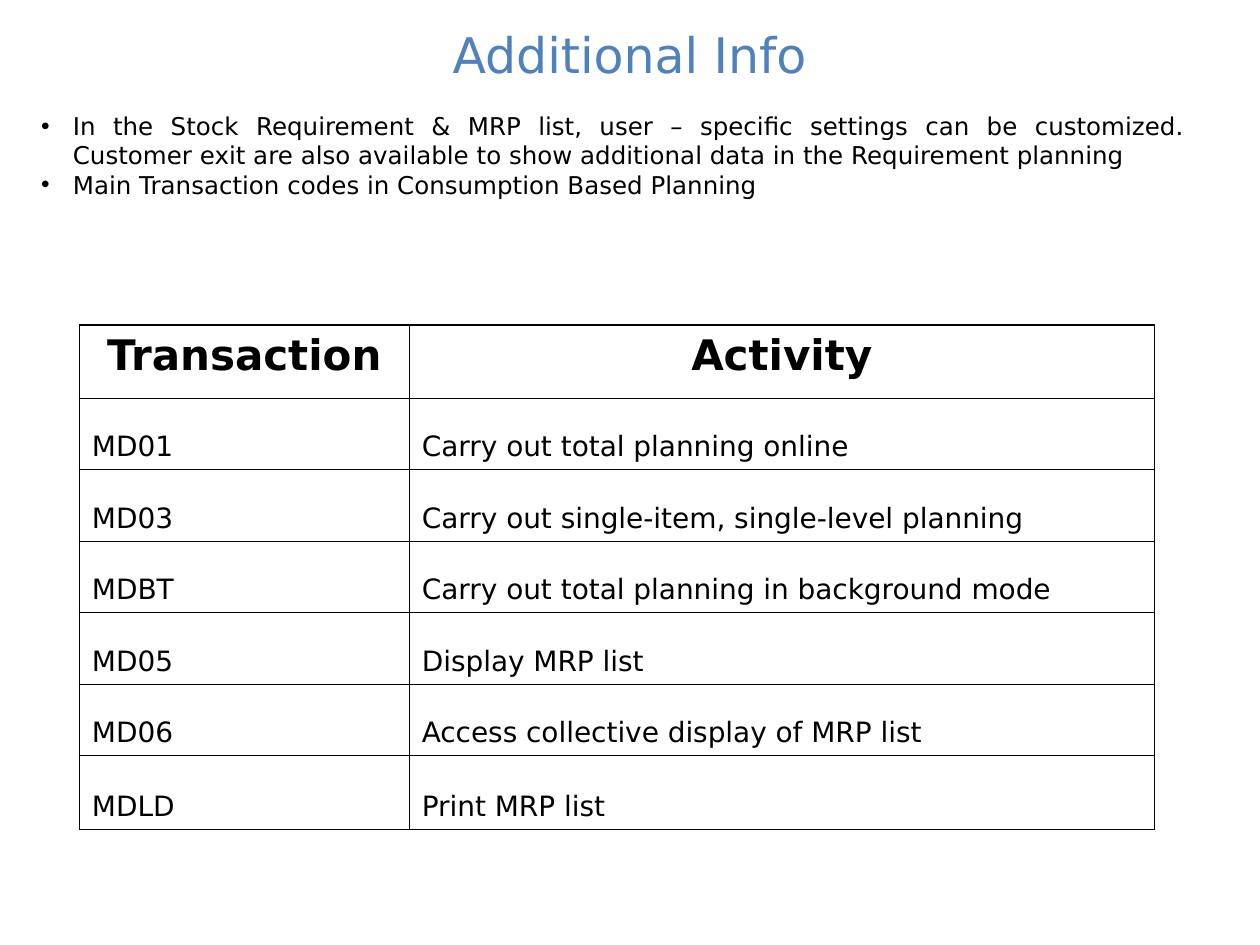
"""Build the Additional Info slide with its table of planning transactions."""
from lxml.etree import SubElement
from pptx import Presentation
from pptx.dml.color import RGBColor
from pptx.enum.text import MSO_ANCHOR, PP_ALIGN
from pptx.oxml import parse_xml
from pptx.oxml.ns import nsdecls, qn
from pptx.util import Cm, Pt

COLORS = {"title": "4F81BD", "text": "000000", "border": "000000"}
FONT = "DejaVu Sans"
BULLETS = [
    "In the Stock Requirement & MRP list, user – specific settings can be customized. "
    "Customer exit are also available to show additional data in the Requirement planning",
    "Main Transaction codes in Consumption Based Planning",
]
ROWS = [
    ("Transaction", "Activity"),
    ("MD01", "Carry out total planning online"),
    ("MD03", "Carry out single-item, single-level planning"),
    ("MDBT", "Carry out total planning in background mode"),
    ("MD05", "Display MRP list"),
    ("MD06", "Access collective display of MRP list"),
    ("MDLD", "Print MRP list"),
]
COLUMN_WIDTHS = [Cm(6.65), Cm(15.02)]
ROW_HEIGHTS = [Cm(1.48)] + [Cm(1.44)] * 5 + [Cm(1.49)]


def format_paragraph(para, size, color, align, bold=False):
    para.alignment = align
    for span in para.runs:
        span.font.name = FONT
        span.font.size = Pt(size)
        span.font.bold = bold
        span.font.color.rgb = RGBColor.from_string(COLORS[color])


def set_borders(cell, outer_sides):
    properties = cell._tc.get_or_add_tcPr()
    for position, side in enumerate("LRTB"):
        width = Pt(1.08 if side in outer_sides else 0.45)
        properties.insert(position, parse_xml(
            f'<a:ln{side} {nsdecls("a")} w="{width}"><a:solidFill>'
            f'<a:srgbClr val="{COLORS["border"]}"/></a:solidFill></a:ln{side}>'))


deck = Presentation()
deck.slide_width, deck.slide_height = Cm(25.4), Cm(19.05)
page = deck.slides.add_slide(deck.slide_layouts[6])

title = page.shapes.add_textbox(Cm(0.56), Cm(0.43), Cm(24.26), Cm(1.32))
frame = title.text_frame
frame.word_wrap = True
frame.vertical_anchor = MSO_ANCHOR.MIDDLE
frame.margin_left = frame.margin_right = frame.margin_top = frame.margin_bottom = 0
frame.text = "Additional Info"
format_paragraph(frame.paragraphs[0], 28, "title", PP_ALIGN.CENTER)

box = page.shapes.add_textbox(Cm(0.58), Cm(2.11), Cm(23.55), Cm(2.64))
frame = box.text_frame
frame.word_wrap = True
for index, text in enumerate(BULLETS):
    para = frame.add_paragraph() if index else frame.paragraphs[0]
    para.text = text
    properties = para._p.get_or_add_pPr()
    properties.set("marL", str(Cm(0.64)))
    properties.set("indent", str(-Cm(0.64)))
    SubElement(properties, qn("a:buFont")).set("typeface", "Arial")
    SubElement(properties, qn("a:buChar")).set("char", "•")
    format_paragraph(para, 14, "text", PP_ALIGN.JUSTIFY)

table = page.shapes.add_table(
    len(ROWS), len(COLUMN_WIDTHS), Cm(1.6), Cm(6.55), sum(COLUMN_WIDTHS), sum(ROW_HEIGHTS)).table
table.first_row = table.horz_banding = False
for column, width in zip(table.columns, COLUMN_WIDTHS):
    column.width = width
for row_index, (texts, height) in enumerate(zip(ROWS, ROW_HEIGHTS)):
    table.rows[row_index].height = height
    header = row_index == 0
    for column_index, text in enumerate(texts):
        cell = table.cell(row_index, column_index)
        cell.fill.background()
        cell.vertical_anchor = MSO_ANCHOR.TOP if header else MSO_ANCHOR.BOTTOM
        cell.text_frame.text = text
        para = cell.text_frame.paragraphs[0]
        format_paragraph(para, 24 if header else 16, "text",
                         PP_ALIGN.CENTER if header else PP_ALIGN.LEFT, header)
        outer_sides = "R" if column_index else "L"
        if header:
            outer_sides += "T"
        if row_index == len(ROWS) - 1:
            outer_sides += "B"
        set_borders(cell, outer_sides)

deck.save("out.pptx")
